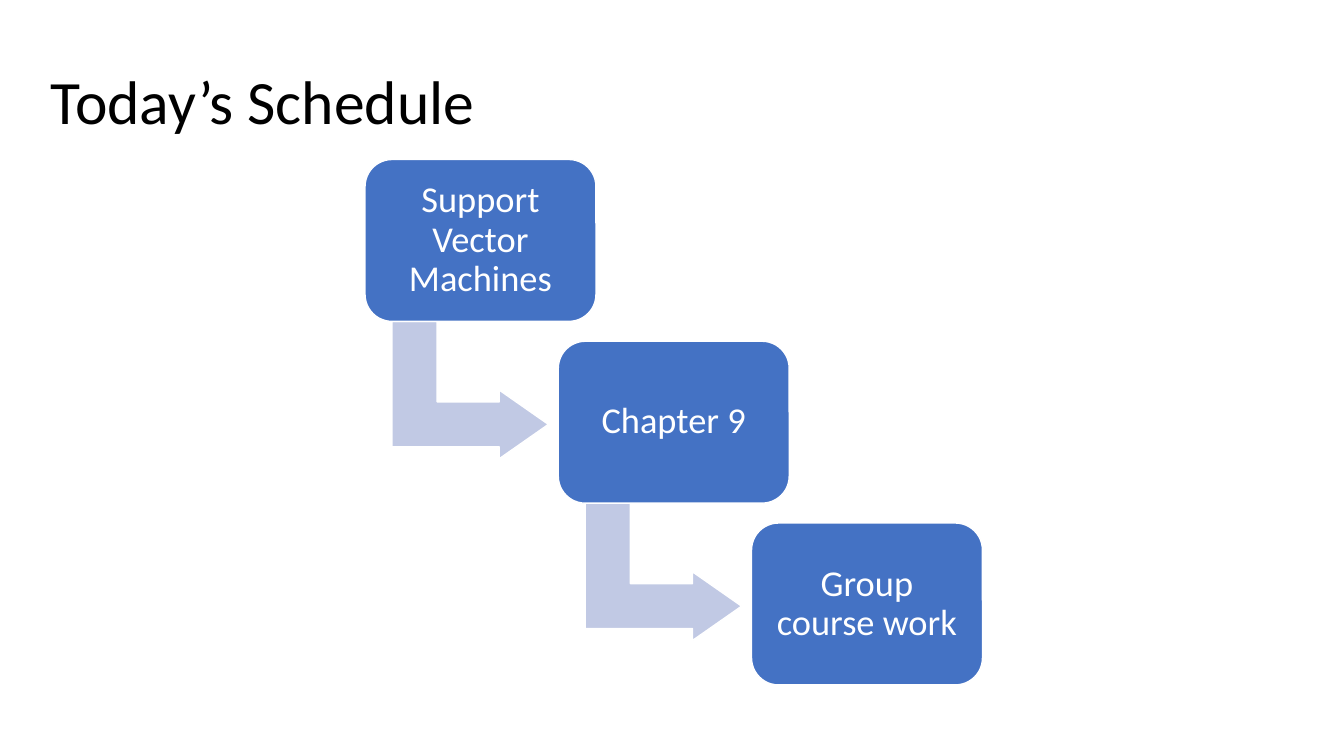
from pptx import Presentation
from pptx.dml.color import RGBColor
from pptx.enum.shapes import MSO_SHAPE
from pptx.enum.text import MSO_ANCHOR, PP_ALIGN
from pptx.util import Cm, Pt

ROUND_BOX = MSO_SHAPE.ROUNDED_RECTANGLE
BENT_ARROW = MSO_SHAPE.BENT_UP_ARROW
LEFT, CENTER = PP_ALIGN.LEFT, PP_ALIGN.CENTER
MIDDLE, BOTTOM = MSO_ANCHOR.MIDDLE, MSO_ANCHOR.BOTTOM


def rgb(color):
    return RGBColor.from_string(color)


def add_text(tf, text, size, color, align, anchor):
    tf.word_wrap = True
    tf.vertical_anchor = anchor
    p = tf.paragraphs[0]
    p.alignment = align
    p.line_spacing = 0.9
    r = p.add_run()
    r.text = text
    r.font.name = "Calibri"
    r.font.size = Pt(size)
    r.font.color.rgb = rgb(color)


prs = Presentation()
prs.slide_width, prs.slide_height = Cm(33.87), Cm(19.05)
s = prs.slides.add_slide(prs.slide_layouts[5])

# Title
title = s.shapes.title
title.left, title.top = Cm(1.02), Cm(0.64)
title.width, title.height = Cm(31.83), Cm(2.97)
add_text(title.text_frame, "Today’s Schedule", 44, "000000", LEFT, BOTTOM)

# Staircase of steps, each leading to the next by a bent arrow
steps = ["Support Vector Machines", "Chapter 9", "Group course work"]
for i, step in enumerate(steps):
    x, y = 9.2 + 4.87 * i, 4.02 + 4.58 * i
    parts = []

    if i < len(steps) - 1:
        arrow = s.shapes.add_shape(BENT_ARROW, Cm(x + 0.92), Cm(y + 3.84), Cm(3.46), Cm(3.94))
        arrow.rotation = 90
        for n, value in enumerate([0.328, 0.25, 0.358]):
            arrow.adjustments[n] = value
        parts.append((arrow, "C1C9E4"))

    box = s.shapes.add_shape(ROUND_BOX, Cm(x), Cm(y), Cm(5.82), Cm(4.08))
    box.adjustments[0] = 0.167
    parts.append((box, "4472C4"))
    tf = box.text_frame
    tf.margin_left = tf.margin_right = tf.margin_top = tf.margin_bottom = Cm(0.28)
    add_text(tf, step, 26, "FFFFFF", CENTER, MIDDLE)

    for sp, color in parts:
        sp.shadow.inherit = False
        sp.fill.solid()
        sp.fill.fore_color.rgb = rgb(color)
        sp.line.color.rgb = rgb("FFFFFF")
        sp.line.width = Pt(1)

prs.save("out.pptx")
